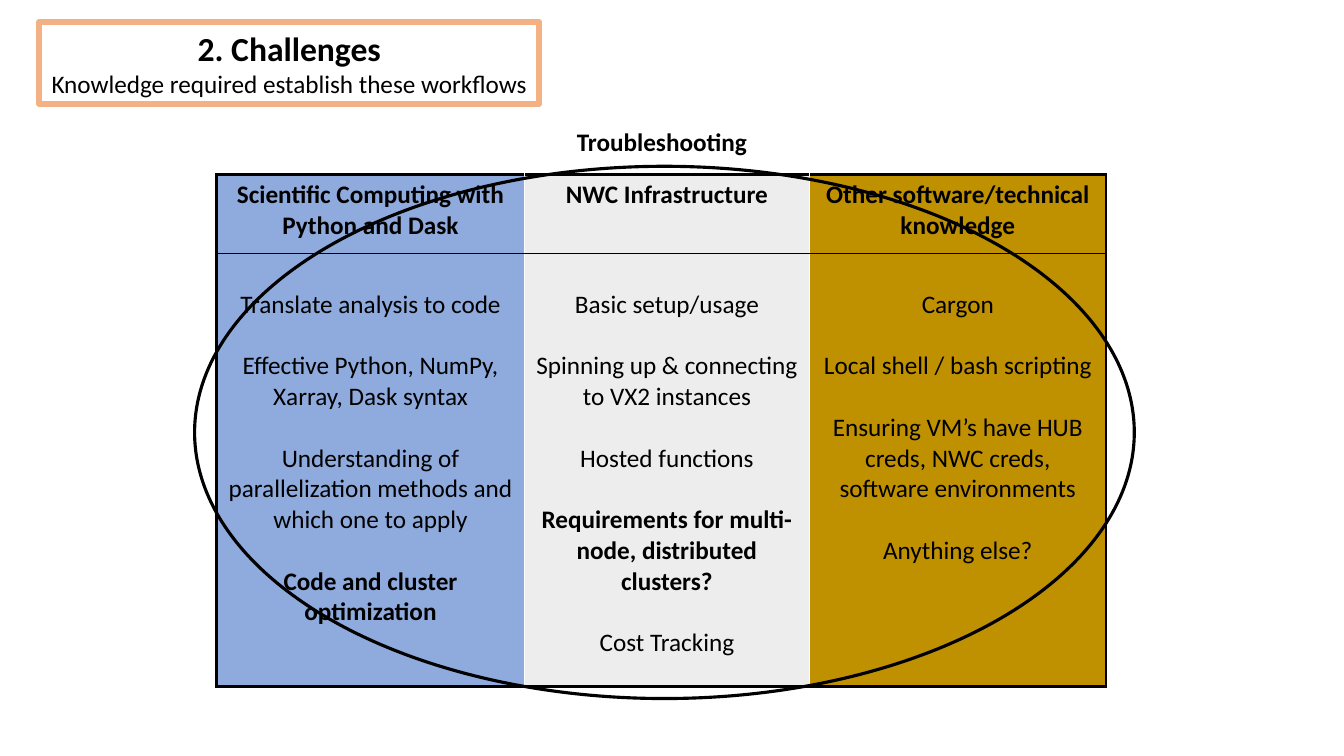
from lxml.etree import SubElement
from pptx import Presentation
from pptx.dml.color import RGBColor
from pptx.enum.shapes import MSO_SHAPE
from pptx.enum.text import MSO_ANCHOR, PP_ALIGN
from pptx.oxml.ns import qn
from pptx.util import Inches, Pt

BLACK = RGBColor(0x00, 0x00, 0x00)
WHITE = RGBColor(0xFF, 0xFF, 0xFF)
ORANGE = RGBColor(0xF4, 0xB1, 0x83)
BLUE = RGBColor(0x8F, 0xAA, 0xDC)
GREY = RGBColor(0xED, 0xED, 0xED)
GOLD = RGBColor(0xBF, 0x90, 0x00)

OUTER = (BLACK, 2.25)
HEADER_RULE = (BLACK, 0.75)
COLUMN_RULE = (WHITE, 1)

# Each column: width, fill, heading, and topics as (text, bold)
COLUMNS = [
    (3.05, BLUE, "Scientific Computing with Python and Dask", [
        ("Translate analysis to code", False),
        ("Effective Python, NumPy, Xarray, Dask syntax", False),
        ("Understanding of parallelization methods and which one to apply", False),
        ("Code and cluster optimization", True),
    ]),
    (2.83, GREY, "NWC Infrastructure", [
        ("Basic setup/usage", False),
        ("Spinning up & connecting to VX2 instances", False),
        ("Hosted functions", False),
        ("Requirements for multi-node, distributed clusters?", True),
        ("Cost Tracking", False),
    ]),
    (2.94, GOLD, "Other software/technical knowledge", [
        ("Cargon", False),
        ("Local shell / bash scripting", False),
        ("Ensuring VM’s have HUB creds, NWC creds, software environments", False),
        ("Anything else?", False),
    ]),
]
ROW_HEIGHTS = [0.78, 4.3]


def write_paragraphs(frame, lines, gap=0):
    """Fill a text frame with centred (text, bold, size) lines."""
    frame.word_wrap = True
    for index, (text, bold, size) in enumerate(lines):
        para = frame.paragraphs[0] if index == 0 else frame.add_paragraph()
        para.alignment = PP_ALIGN.CENTER
        if index:
            para.space_before = Pt(gap)
        span = para.add_run()
        span.text = text
        span.font.color.rgb = BLACK
        for name, value in {"name": "Calibri", "size": Pt(size), "bold": bold}.items():
            setattr(span.font, name, value)


def add_outline(page, kind, place, color, width):
    shape = page.shapes.add_shape(kind, *map(Inches, place))
    shape.shadow.inherit = False
    shape.fill.background()
    shape.line.color.rgb = color
    shape.line.width = Pt(width)
    return shape


def set_borders(cell, borders):
    """Draw left, right, top and bottom borders, given as (color, points)."""
    properties = cell._tc.get_or_add_tcPr()
    for index, (side, (color, width)) in enumerate(zip("LRTB", borders)):
        line = properties.makeelement(qn(f"a:ln{side}"), {"w": str(Pt(width))})
        fill = SubElement(line, qn("a:solidFill"))
        SubElement(fill, qn("a:srgbClr"), val=str(color))
        properties.insert(index, line)


def add_knowledge_table(page):
    total_width = sum(column[0] for column in COLUMNS)
    frame = page.shapes.add_table(
        len(ROW_HEIGHTS), len(COLUMNS), Inches(2.15), Inches(1.73),
        Inches(total_width), Inches(sum(ROW_HEIGHTS)))
    table = frame.table
    table.first_row = table.horz_banding = False
    for row, height in zip(table.rows, ROW_HEIGHTS):
        row.height = Inches(height)

    for number, (width, color, heading, topics) in enumerate(COLUMNS):
        table.columns[number].width = Inches(width)
        left = OUTER if number == 0 else COLUMN_RULE
        right = OUTER if number == len(COLUMNS) - 1 else COLUMN_RULE
        header, body = table.cell(0, number), table.cell(1, number)
        for cell in (header, body):
            cell.fill.solid()
            cell.fill.fore_color.rgb = color
        set_borders(header, (left, right, OUTER, HEADER_RULE))
        set_borders(body, (left, right, HEADER_RULE, OUTER))
        write_paragraphs(header.text_frame, [(heading, True, 18)])
        body.margin_top = Inches(0.36)
        lines = [(text, bold, 18) for text, bold in topics]
        write_paragraphs(body.text_frame, lines, gap=22)


def main():
    deck = Presentation()
    deck.slide_width, deck.slide_height = Inches(13.33), Inches(7.5)
    page = deck.slides.add_slide(deck.slide_layouts[6])

    # Title box
    title = add_outline(page, MSO_SHAPE.RECTANGLE, (0.39, 0.22, 4.96, 0.81), ORANGE, 4.5)
    title.text_frame.vertical_anchor = MSO_ANCHOR.MIDDLE
    write_paragraphs(title.text_frame, [
        ("2. Challenges", True, 24),
        ("Knowledge required establish these workflows", False, 18),
    ])

    # Areas of knowledge, encircled by troubleshooting
    add_knowledge_table(page)
    add_outline(page, MSO_SHAPE.OVAL, (1.93, 1.65, 9.32, 5.28), BLACK, 2.25)
    label = page.shapes.add_textbox(Inches(5.31), Inches(1.2), Inches(2.51), Inches(0.4))
    write_paragraphs(label.text_frame, [("Troubleshooting", True, 18)])

    deck.save("out.pptx")


if __name__ == "__main__":
    main()
